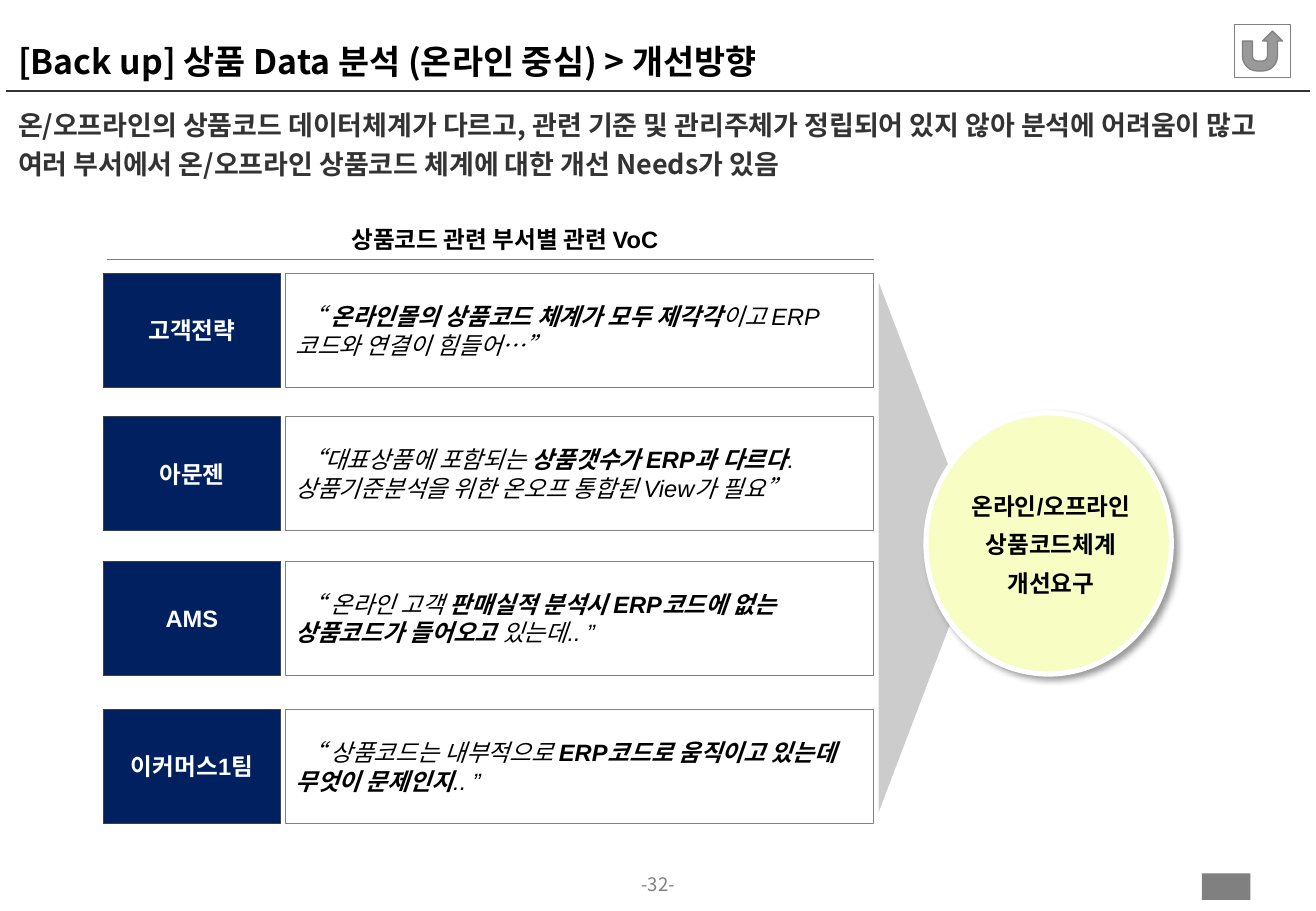
from dataclasses import dataclass

from lxml import etree
from pptx import Presentation
from pptx.dml.color import RGBColor
from pptx.enum.shapes import MSO_CONNECTOR, MSO_SHAPE
from pptx.enum.text import MSO_ANCHOR, MSO_AUTO_SIZE, PP_ALIGN
from pptx.oxml.ns import qn
from pptx.util import Inches, Pt

LEFT, CENTER = PP_ALIGN.LEFT, PP_ALIGN.CENTER
TOP, MIDDLE, BOTTOM = MSO_ANCHOR.TOP, MSO_ANCHOR.MIDDLE, MSO_ANCHOR.BOTTOM
NO_FIT = MSO_AUTO_SIZE.NONE
STRAIGHT = MSO_CONNECTOR.STRAIGHT
RECTANGLE, OVAL = MSO_SHAPE.RECTANGLE, MSO_SHAPE.OVAL
ARROW, RETURN_BUTTON = MSO_SHAPE.RIGHT_ARROW, MSO_SHAPE.ACTION_BUTTON_RETURN

BLACK = RGBColor(0x00, 0x00, 0x00)
WHITE = RGBColor(0xFF, 0xFF, 0xFF)
CHARCOAL = RGBColor(0x33, 0x33, 0x33)
DARK_GRAY = RGBColor(0x40, 0x40, 0x40)
GRAY = RGBColor(0x80, 0x80, 0x80)
LIGHT_GRAY = RGBColor(0xCC, 0xCC, 0xCC)
NAVY = RGBColor(0x00, 0x20, 0x60)
CREAM = RGBColor(0xF7, 0xFD, 0xC3)

ARIAL, KOREAN = "Arial", "Noto Sans CJK KR"
SLIDE_WIDTH, SLIDE_HEIGHT = Inches(10.83), Inches(7.5)
COLUMN, ROW = SLIDE_WIDTH / 100, SLIDE_HEIGHT / 100
DEFAULT_INSETS, TIGHT_INSETS = (0.1, 0.05), (0.08, 0.04)
HAIRLINE = 0.75


@dataclass(frozen=True)
class Area:
    """Place and size in percent of the slide."""
    left: float
    top: float
    width: float
    height: float

    def emu(self) -> tuple:
        """Return left, top, width and height in EMU."""
        return (round(self.left * COLUMN), round(self.top * ROW),
                round(self.width * COLUMN), round(self.height * ROW))


@dataclass(frozen=True)
class Style:
    """Look of a text."""
    size: float = 14
    color: RGBColor = BLACK
    font: str = ARIAL
    bold: bool = True
    italic: bool = False


@dataclass(frozen=True)
class Voice:
    """What one department says, with its stressed words."""
    top: float
    department: str
    before: str
    stress: str
    after: str


VOICES = (
    Voice(30, "고객전략", "“ ", "온라인몰의 상품코드 체계가 모두 제각각",
          "이고 ERP코드와 연결이 힘들어…”"),
    Voice(45.73, "아문젠", "“대표상품에 포함되는 ", "상품갯수가 ERP과 다르다",
          ". 상품기준분석을 위한 온오프 통합된 View가 필요”"),
    Voice(61.6, "AMS", "“ 온라인 고객 ", "판매실적 분석시 ERP코드에 없는 상품코드가 들어오고",
          " 있는데.. ”"),
    Voice(77.87, "이커머스1팀", "“ 상품코드는 내부적으로 ",
          "ERP코드로 움직이고 있는데 무엇이 문제인지", ".. ”"),
)


def format_span(span, style: Style) -> None:
    """Apply a style to one run."""
    font = span.font
    font.name, font.size = style.font, Pt(style.size)
    font.bold, font.italic = style.bold, style.italic
    font.color.rgb = style.color
    etree.SubElement(span._r.get_or_add_rPr(), qn("a:ea"), typeface=KOREAN)


def set_frame(shape, anchor, insets: tuple) -> None:
    """Set wrapping, anchor and insets of a text frame."""
    frame = shape.text_frame
    frame.word_wrap, frame.auto_size = True, NO_FIT
    frame.vertical_anchor = anchor
    frame.margin_left = frame.margin_right = Inches(insets[0])
    frame.margin_top = frame.margin_bottom = Inches(insets[1])


def write(shape, text: str, style: Style, align=CENTER, anchor=MIDDLE,
          insets: tuple = DEFAULT_INSETS, spacing: float = 1, gap: float = 0) -> None:
    """Write and format the text of a shape."""
    set_frame(shape, anchor, insets)
    shape.text_frame.text = text
    for number, para in enumerate(shape.text_frame.paragraphs):
        para.alignment, para.line_spacing = align, spacing
        para.space_before = Pt(gap if number else 0)
        para.space_after = Pt(gap)
        for span in para.runs:
            format_span(span, style)


def add_box(page, kind, area: Area, fill=None, line=None, width: float = HAIRLINE):
    """Add a preset shape without a shadow."""
    box = page.shapes.add_shape(kind, *area.emu())
    box.shadow.inherit = False
    if fill is None:
        box.fill.background()
    else:
        box.fill.solid()
        box.fill.fore_color.rgb = fill
    if line is None:
        box.line.fill.background()
    else:
        box.line.color.rgb = line
        box.line.width = Pt(width)
    return box


def add_text(page, area: Area, text: str, style: Style, **layout) -> None:
    """Add a text box."""
    write(page.shapes.add_textbox(*area.emu()), text, style, **layout)


def add_rule(page, start: float, end: float, top: float, color: RGBColor, width: float) -> None:
    """Add a horizontal line."""
    left, height, length, _ = Area(start, top, end - start, 0).emu()
    rule = page.shapes.add_connector(STRAIGHT, left, height, left + length, height)
    rule.line.color.rgb = color
    rule.line.width = Pt(width)
    etree.SubElement(rule._element.spPr, qn("a:effectLst"))


def add_shadow(shape) -> None:
    """Give a shape a soft shadow to the lower right."""
    effects = shape._element.spPr.find(qn("a:effectLst"))
    shadow = etree.SubElement(effects, qn("a:outerShdw"), blurRad=str(Pt(4)), dist=str(Pt(3)),
                              dir="2700000", algn="tl", rotWithShape="0")
    color = etree.SubElement(shadow, qn("a:srgbClr"), val=str(BLACK))
    etree.SubElement(color, qn("a:alpha"), val="40000")


def add_voice(page, voice: Voice) -> None:
    """Add a department box and its quotation."""
    label = add_box(page, RECTANGLE, Area(7.85, voice.top, 13.48, 12.53), NAVY, DARK_GRAY)
    write(label, voice.department, Style(color=WHITE))
    quote = add_box(page, RECTANGLE, Area(21.7, voice.top, 44.69, 12.53), line=GRAY)
    set_frame(quote, MIDDLE, TIGHT_INSETS)
    para = quote.text_frame.paragraphs[0]
    para.alignment, para.space_after = LEFT, Pt(3)
    para._p.get_or_add_pPr().set("indent", str(Inches(0.05)))
    for text, bold in ((voice.before, False), (voice.stress, True), (voice.after, False)):
        span = para.add_run()
        span.text = text
        format_span(span, Style(bold=bold, italic=True))


def add_header(page) -> None:
    """Fill the title and the lead sentence."""
    add_rule(page, 0.46, 99.54, 10, CHARCOAL, 1)
    title = page.shapes.title
    title.left, title.top, title.width, title.height = Area(0.46, 0.67, 98.98, 8.93).emu()
    write(title, "[Back up] 상품 Data 분석 (온라인 중심) > 개선방향",
          Style(20, font=KOREAN), align=LEFT, anchor=BOTTOM, spacing=0.85)
    add_text(page, Area(0.46, 10.53, 99.08, 7.47),
             "온/오프라인의 상품코드 데이터체계가 다르고, 관련 기준 및 관리주체가 정립되어 있지 않아 "
             "분석에 어려움이 많고 여러 부서에서 온/오프라인 상품코드 체계에 대한 개선 Needs가 있음",
             Style(16, CHARCOAL, KOREAN), align=LEFT, anchor=TOP, spacing=1.2)
    add_box(page, RETURN_BUTTON, Area(93.81, 2.67, 4.25, 5.87), WHITE, GRAY)


def add_conclusion(page) -> None:
    """Add the arrow and the circle with the shared demand."""
    arrow = add_box(page, ARROW, Area(66.76, 30.93, 7.66, 58.27), LIGHT_GRAY)
    arrow.adjustments[0] = arrow.adjustments[1] = 1
    circle = add_box(page, OVAL, Area(70.36, 45.33, 18.65, 28.67), CREAM, WHITE, 3)
    add_shadow(circle)
    add_text(page, Area(72.11, 52.13, 15.51, 15.2), "온라인/오프라인\n상품코드체계\n개선요구",
             Style(), insets=TIGHT_INSETS, gap=3)


def main() -> None:
    """Build the slide and save it."""
    deck = Presentation()
    deck.slide_width, deck.slide_height = SLIDE_WIDTH, SLIDE_HEIGHT
    page = deck.slides.add_slide(deck.slide_layouts.get_by_name("Title Only"))
    add_header(page)
    add_text(page, Area(16.99, 24.13, 42.75, 4.27), "상품코드 관련 부서별 관련 VoC",
             Style(), insets=(0.04, 0.04))
    add_rule(page, 8.13, 66.39, 28.53, GRAY, HAIRLINE)
    for voice in VOICES:
        add_voice(page, voice)
    add_conclusion(page)
    add_text(page, Area(46.08, 95.87, 7.85, 2.93), "-32-",
             Style(11, GRAY, KOREAN, bold=False), anchor=TOP, insets=(0, 0))
    add_box(page, RECTANGLE, Area(91.32, 95.87, 3.69, 2.93), GRAY)
    deck.save("out.pptx")


if __name__ == "__main__":
    main()
